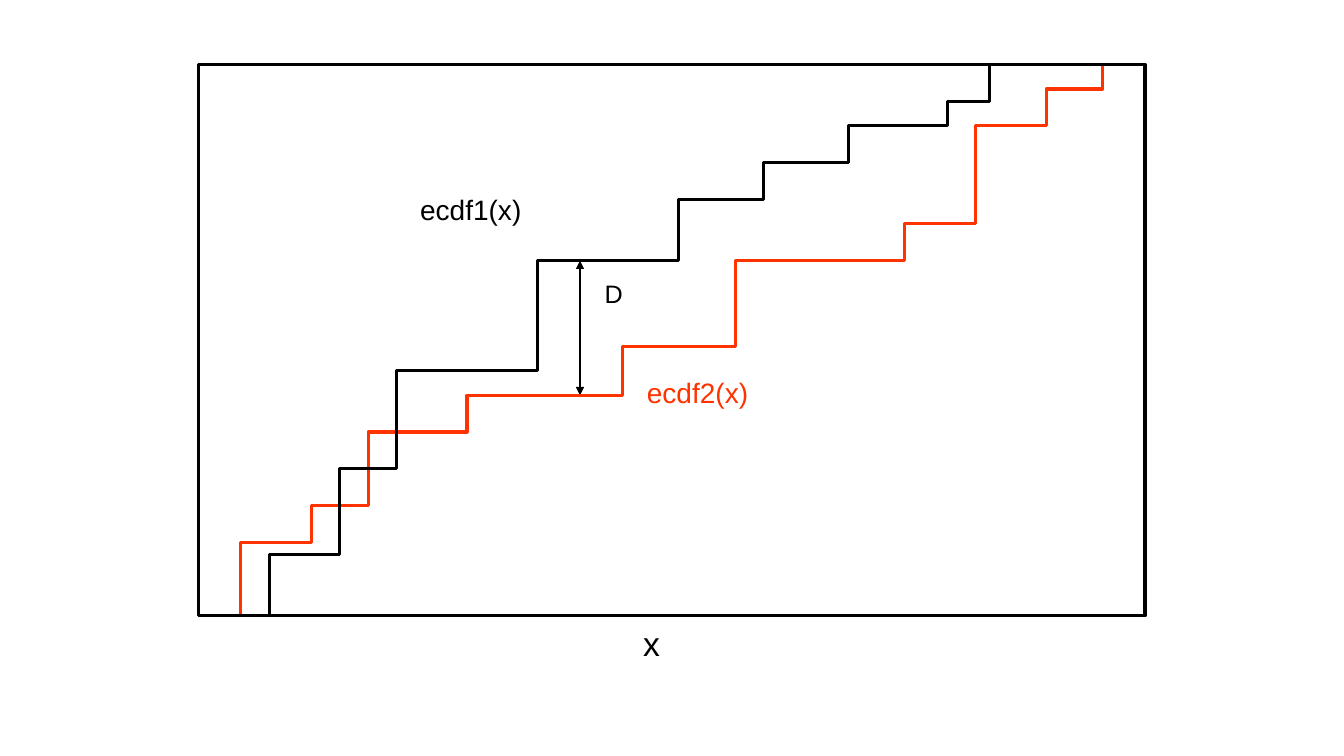
from dataclasses import dataclass

from lxml.etree import SubElement
from pptx import Presentation
from pptx.dml.color import RGBColor
from pptx.enum.shapes import MSO_CONNECTOR as Connector, MSO_SHAPE as Preset
from pptx.oxml.ns import qn
from pptx.util import Pt

COLORS = {"black": "000000", "red": "FF3300"}
FONT = "Arial"

# Plot frame and its grid, in points
LEFT, TOP, WIDTH, HEIGHT = 141.84, 46.08, 676.08, 393.84
COLUMNS, ROWS = 67, 45
COLUMN, ROW = WIDTH / COLUMNS, HEIGHT / ROWS


@dataclass(frozen=True)
class StepCurve:
    color: str
    jumps: tuple[tuple[int, int], ...]  # grid column, level reached there


@dataclass(frozen=True)
class Label:
    text: str
    left: float
    top: float
    width: float
    height: float
    size: float
    color: str = "black"


CURVES = (
    StepCurve("red", ((3, 6), (8, 9), (12, 15), (19, 18), (30, 22),
                      (38, 29), (50, 32), (55, 40), (60, 43), (64, 45))),
    StepCurve("black", ((5, 5), (10, 12), (14, 20), (24, 29), (34, 34),
                        (40, 37), (46, 40), (53, 42), (56, 45))),
)
LABELS = (
    Label("ecdf1(x)", 293, 134, 90, 31.7, 20),
    Label("ecdf2(x)", 455, 265, 90, 31.7, 20, "red"),
    Label("D", 424.8, 195.1, 46, 41.8, 18),
    Label("x", 452.2, 441.4, 44.6, 52.6, 24),
)
DISTANCE_COLUMN, DISTANCE_LEVELS = 27, (29, 18)


def rgb(color: str) -> RGBColor:
    return RGBColor.from_string(COLORS[color])


def style_outline(shape, color: str) -> None:
    shape.shadow.inherit = False
    shape.fill.background()
    shape.line.color.rgb = rgb(color)
    shape.line.width = Pt(2.25)


def add_frame(slide) -> None:
    frame = slide.shapes.add_shape(
        Preset.RECTANGLE, Pt(LEFT), Pt(TOP), Pt(WIDTH), Pt(HEIGHT))
    style_outline(frame, "black")


def add_curve(slide, curve: StepCurve) -> None:
    points, level = [], 0
    for column, next_level in curve.jumps:
        points += [(column, ROWS - level), (column, ROWS - next_level)]
        level = next_level
    points.append((COLUMNS, 0))
    builder = slide.shapes.build_freeform(0, ROWS, scale=(Pt(COLUMN), Pt(ROW)))
    builder.add_line_segments(points, close=False)
    style_outline(builder.convert_to_shape(Pt(LEFT), Pt(TOP)), curve.color)


def add_distance_arrow(slide) -> None:
    x = Pt(LEFT + DISTANCE_COLUMN * COLUMN)
    start, end = (Pt(TOP + (ROWS - level) * ROW) for level in DISTANCE_LEVELS)
    arrow = slide.shapes.add_connector(Connector.STRAIGHT, x, start, x, end)
    arrow.line.color.rgb = rgb("black")
    arrow.line.width = Pt(0.75)
    line = arrow.line._get_or_add_ln()
    for tag in ("a:headEnd", "a:tailEnd"):
        SubElement(line, qn(tag), type="triangle")
    SubElement(arrow._element.spPr, qn("a:effectLst"))


def add_text(slide, text: str, *, left: float, top: float, width: float,
             height: float, size: float, color: str) -> None:
    box = slide.shapes.add_textbox(Pt(left), Pt(top), Pt(width), Pt(height))
    box.text_frame.word_wrap = True
    run = box.text_frame.paragraphs[0].add_run()
    run.text = text
    run.font.name = FONT
    run.font.size = Pt(size)
    run.font.color.rgb = rgb(color)


def main() -> None:
    presentation = Presentation()
    presentation.slide_width, presentation.slide_height = Pt(960), Pt(540)
    slide = presentation.slides.add_slide(presentation.slide_layouts[6])

    # Distance between the curves
    add_distance_arrow(slide)

    # Frame and step curves
    add_frame(slide)
    for curve in CURVES:
        add_curve(slide, curve)

    # Labels
    for label in LABELS:
        add_text(slide, label.text, left=label.left, top=label.top,
                 width=label.width, height=label.height,
                 size=label.size, color=label.color)

    presentation.save("out.pptx")


if __name__ == "__main__":
    main()
